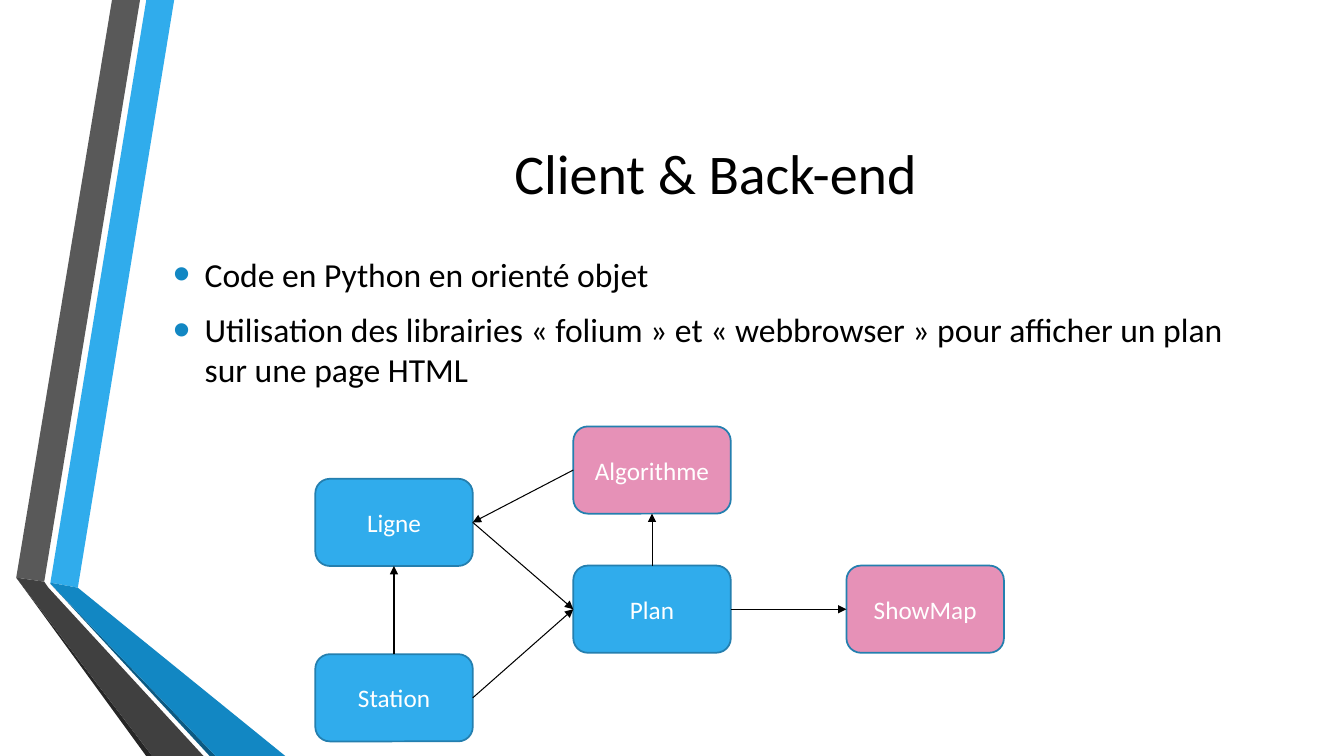
from lxml.etree import SubElement
from pptx import Presentation
from pptx.dml.color import RGBColor
from pptx.enum.shapes import MSO_CONNECTOR, MSO_SHAPE
from pptx.enum.text import MSO_ANCHOR, PP_ALIGN
from pptx.oxml.ns import qn
from pptx.util import Pt

FONT = "Calibri"
BLUE, PINK, OUTLINE = "30ACEC", "E691B7", "247FAF"
BULLET, BLACK, WHITE = "1287C3", "000000", "FFFFFF"
TOP, LEFT, BOTTOM, RIGHT = range(4)

RIBBONS = [
    (BLUE, [(36, 416.2), (55.6, 419.8), (124.4, 0), (104.5, 0)]),
    ("595959", [(100, 0), (80, 0), (11.6, 412.6), (31.6, 415.5)]),
    ("262626", [(11.6, 412.6), (104.4, 540), (108.7, 540)]),
    ("0C5A82", [(36, 416.9), (149.8, 540), (154.1, 540)]),
    ("1287C3", [(36, 416.2), (36, 416.9), (154.1, 540), (203.8, 540), (55.6, 419.8)]),
    ("404040", [(145.4, 540), (34.6, 419.8), (31.6, 415.5), (11.6, 412.6), (108.7, 540)]),
]
BULLETS = [
    "Code en Python en orienté objet",
    "Utilisation des librairies «\u00a0folium\u00a0» et «\u00a0webbrowser\u00a0» "
    "pour afficher un plan sur une page HTML",
]
CLASSES = {
    "Plan": (184.3, 99.4, BLUE),
    "Ligne": (0, 37.4, BLUE),
    "Station": (0, 162.7, BLUE),
    "Algorithme": (184.3, 0, PINK),
    "ShowMap": (379.4, 99.4, PINK),
}
LINKS = [
    ("Station", TOP, "Ligne", BOTTOM),
    ("Station", RIGHT, "Plan", LEFT),
    ("Ligne", RIGHT, "Plan", LEFT),
    ("Algorithme", LEFT, "Ligne", RIGHT),
    ("Plan", RIGHT, "ShowMap", LEFT),
    ("Plan", TOP, "Algorithme", BOTTOM),
]


def color(value):
    """Turn a hex string into a colour."""
    return RGBColor.from_string(value)


def place(shape, box):
    """Move and size a shape to a box in points."""
    shape.left, shape.top, shape.width, shape.height = map(Pt, box)


def format_text(frame, size, ink, align):
    """Format all text in a frame, anchored in the middle."""
    frame.word_wrap = True
    frame.vertical_anchor = MSO_ANCHOR.MIDDLE
    for para in frame.paragraphs:
        para.alignment = align
        for span in para.runs:
            span.font.name = FONT
            span.font.size = Pt(size)
            span.font.color.rgb = color(ink)


def add_ribbons(page, left, top):
    """Draw the folded ribbons from the given corner."""
    for fill, points in RIBBONS:
        corners = [(Pt(left + x), Pt(top + y)) for x, y in points]
        builder = page.shapes.build_freeform(*corners[0])
        builder.add_line_segments(corners[1:], close=True)
        ribbon = builder.convert_to_shape()
        ribbon.fill.solid()
        ribbon.fill.fore_color.rgb = color(fill)
        ribbon.line.fill.background()
        ribbon.shadow.inherit = False


def add_title(page, box):
    """Fill the title placeholder."""
    title = page.shapes.title
    place(title, box)
    title.text_frame.text = "Client & Back-end"
    format_text(title.text_frame, 40, BLACK, PP_ALIGN.CENTER)


def add_bullets(page, box):
    """Write the bulleted statements."""
    frame = page.shapes.add_textbox(*map(Pt, box)).text_frame
    frame.text = "\n".join(BULLETS)
    format_text(frame, 24, BLACK, PP_ALIGN.LEFT)
    for para in frame.paragraphs:
        para.space_before = Pt(4.8)
        para.space_after = Pt(6)
        properties = para._p.get_or_add_pPr()
        properties.set("marL", str(Pt(22.5)))
        properties.set("indent", str(-Pt(22.5)))
        tint = SubElement(properties, qn("a:buClr"))
        SubElement(tint, qn("a:srgbClr"), val=BULLET)
        SubElement(properties, qn("a:buSzPct"), val="145000")
        SubElement(properties, qn("a:buFont"), typeface="Arial")
        SubElement(properties, qn("a:buChar"), char="•")


def add_class(page, name, box, fill):
    """Draw one class of the diagram."""
    node = page.shapes.add_shape(MSO_SHAPE.ROUNDED_RECTANGLE, *map(Pt, box))
    node.shadow.inherit = False
    node.fill.solid()
    node.fill.fore_color.rgb = color(fill)
    node.line.color.rgb = color(OUTLINE)
    node.line.width = Pt(1.25)
    node.text_frame.text = name
    format_text(node.text_frame, 18, WHITE, PP_ALIGN.CENTER)
    return node


def add_arrow(page, source, source_side, target, target_side):
    """Link two classes with an arrow."""
    arrow = page.shapes.add_connector(MSO_CONNECTOR.STRAIGHT, 0, 0, 0, 0)
    arrow.begin_connect(source, source_side)
    arrow.end_connect(target, target_side)
    arrow.line.color.rgb = color(BLACK)
    arrow.line.width = Pt(0.75)
    SubElement(arrow.line._get_or_add_ln(), qn("a:tailEnd"), type="triangle")
    SubElement(arrow._element.spPr, qn("a:effectLst"))


def add_diagram(page, left, top):
    """Draw the class diagram from the given corner."""
    nodes = {
        name: add_class(page, name, (left + x, top + y, 112.5, 62.3), fill)
        for name, (x, y, fill) in CLASSES.items()
    }
    for source, source_side, target, target_side in LINKS:
        add_arrow(page, nodes[source], source_side, nodes[target], target_side)


def main():
    """Build and save the slide."""
    deck = Presentation()
    deck.slide_width, deck.slide_height = Pt(960), Pt(540)
    page = deck.slides.add_slide(deck.slide_layouts[5])
    add_ribbons(page, 0, 0)
    add_title(page, (116.6, 54, 789, 138))
    add_bullets(page, (116.6, 106.6, 789, 246.2))
    add_diagram(page, 225.2, 304.6)
    deck.save("out.pptx")


if __name__ == "__main__":
    main()
